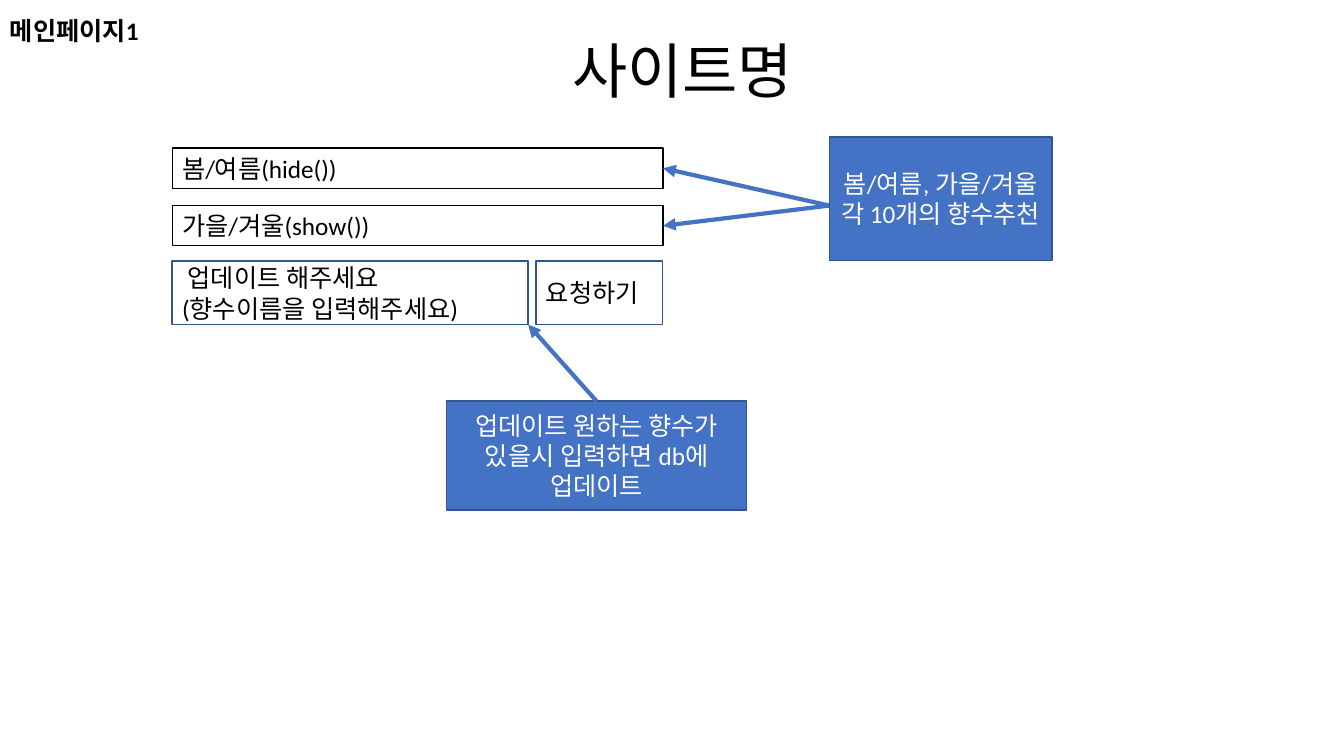
from dataclasses import dataclass

from lxml.etree import SubElement
from pptx import Presentation
from pptx.dml.color import RGBColor as RGB
from pptx.enum.shapes import MSO_CONNECTOR as Link, MSO_SHAPE as Form
from pptx.enum.text import MSO_ANCHOR as Anchor, MSO_AUTO_SIZE as Fit, PP_ALIGN as Align
from pptx.oxml.ns import qn
from pptx.util import Cm, Pt


@dataclass(frozen=True)
class Theme:
    font: str = "Calibri"
    head: float = 42.9
    body: float = 18
    ink: RGB = RGB(0, 0, 0)
    paper: RGB = RGB(255, 255, 255)
    blue: RGB = RGB(0x44, 0x72, 0xC4)
    edge: RGB = RGB(0x32, 0x54, 0x91)


class Page:
    def __init__(self, deck, theme):
        self.theme = theme
        self.slide = deck.slides.add_slide(deck.slide_layouts[5])
        self.shapes = self.slide.shapes

    def letter(self, shape, text, size, color, align=Align.LEFT, bold=False):
        """Fill a shape with styled text and return its text frame."""
        frame = shape.text_frame
        frame.text = text
        for para in frame.paragraphs:
            para.alignment = align
            for run in para.runs:
                font = run.font
                font.name, font.size, font.bold = self.theme.font, Pt(size), bold
                font.color.rgb = color
        return frame

    def title(self, text, x, y, w, h):
        head = self.shapes.title
        head.left, head.top, head.width, head.height = map(Cm, (x, y, w, h))
        frame = self.letter(head, text, self.theme.head, self.theme.ink, Align.CENTER)
        frame.auto_size, frame.vertical_anchor = Fit.NONE, Anchor.MIDDLE
        frame.paragraphs[0].line_spacing = 0.9

    def label(self, text, x, y, w, h):
        box = self.shapes.add_textbox(*map(Cm, (x, y, w, h)))
        frame = self.letter(box, text, self.theme.body, self.theme.ink, bold=True)
        frame.word_wrap = False

    def box(self, text, x, y, w, h, fill, edge, ink, weight=1,
            align=Align.LEFT, anchor=Anchor.MIDDLE):
        rect = self.shapes.add_shape(Form.RECTANGLE, *map(Cm, (x, y, w, h)))
        rect.shadow.inherit = False
        rect.fill.solid()
        rect.fill.fore_color.rgb = fill
        rect.line.color.rgb = edge
        rect.line.width = Pt(weight)
        frame = self.letter(rect, text, self.theme.body, ink, align)
        frame.word_wrap, frame.vertical_anchor = True, anchor
        return rect

    def row(self, text, x, y, w, h):
        t = self.theme
        return self.box(text, x, y, w, h, t.paper, t.ink, t.ink, 0.75, anchor=Anchor.TOP)

    def field(self, text, x, y, w, h):
        t = self.theme
        return self.box(text, x, y, w, h, t.paper, t.edge, t.ink)

    def note(self, text, x, y, w, h):
        t = self.theme
        return self.box(text, x, y, w, h, t.blue, t.edge, t.paper, align=Align.CENTER)

    def arrow(self, start, end):
        link = self.shapes.add_connector(Link.STRAIGHT, *map(Cm, (*start, *end)))
        link.line.color.rgb = self.theme.blue
        link.line.width = Pt(3)
        props = link._element.spPr
        SubElement(props.find(qn("a:ln")), qn("a:tailEnd"), type="triangle")
        SubElement(props, qn("a:effectLst"))
        return link


def main():
    deck = Presentation()
    deck.slide_width, deck.slide_height = Cm(33.87), Cm(19.05)
    page = Page(deck, Theme())

    left, wide, high = 4.34, 12.37, 1.02
    page.title("사이트명", left, 0.76, 25.73, 2.21)
    rows = [page.row(text, left, y, wide, high)
            for text, y in (("봄/여름(hide())", 3.73), ("가을/겨울(show())", 5.18))]

    top, tall, span = 6.58, 1.6, 8.97
    page.field(" 업데이트 해주세요\n(향수이름을 입력해주세요)", left, top, span, tall)
    page.field("요청하기", 13.51, top, 3.18, tall)
    page.label("메인페이지1", 0, 0.25, 4.04, high)

    for row in rows:
        page.arrow((20.9, 5.18), (left + wide, 5)).end_connect(row, 3)
    page.note("봄/여름, 가을/겨울 각 10개의 향수추천", 20.9, 3.45, 5.61, 3.12)
    update = page.note("업데이트 원하는 향수가 있을시 입력하면 db에 업데이트",
                       11.25, 10.11, 7.57, 2.74)
    page.arrow((15.03, 10.11), (left + span, top + tall)).begin_connect(update, 0)

    deck.save("out.pptx")


if __name__ == "__main__":
    main()
